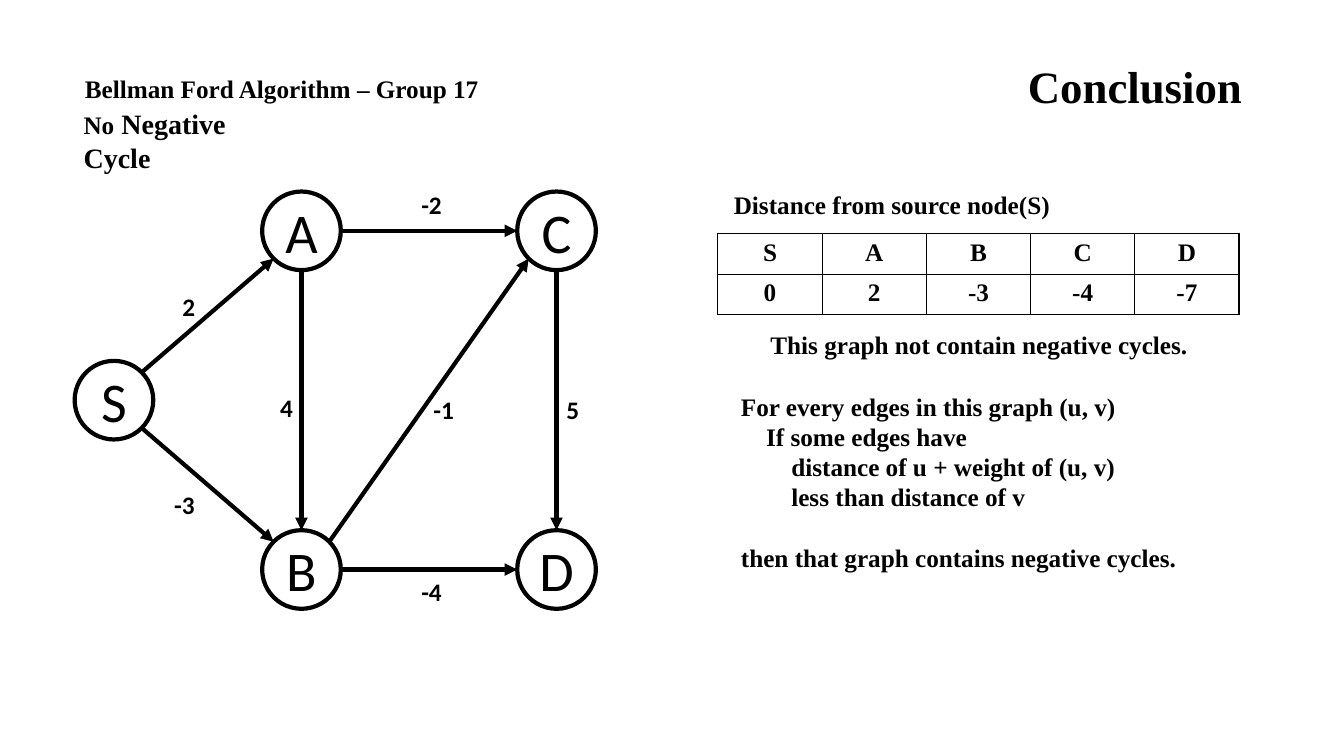
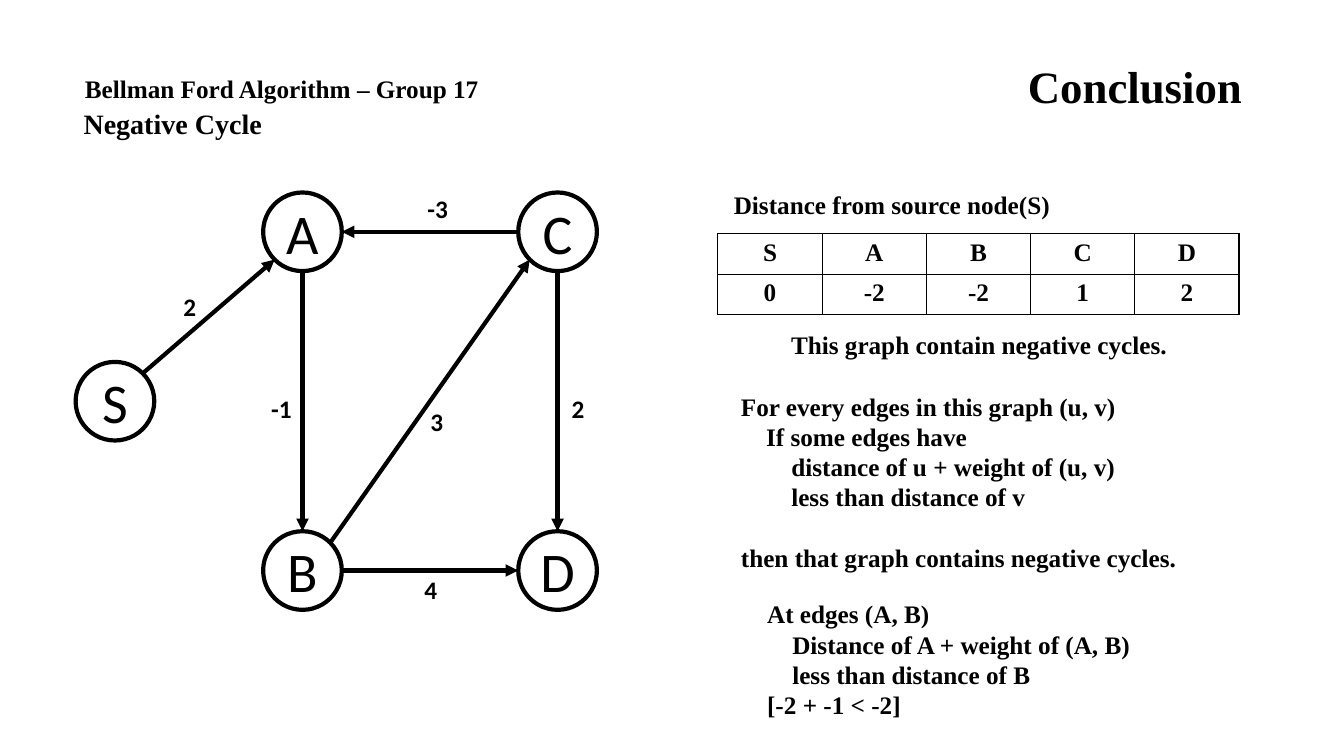
from math import sqrt

from lxml.etree import SubElement as Sub
from pptx import Presentation
from pptx.dml.color import RGBColor
from pptx.enum.shapes import MSO_CONNECTOR as Link, MSO_SHAPE as Form
from pptx.enum.text import MSO_ANCHOR as Anchor, MSO_AUTO_SIZE as Fit, PP_ALIGN as Align
from pptx.oxml.ns import qn
from pptx.util import Pt

BLACK = RGBColor(0, 0, 0)
WHITE = RGBColor(255, 255, 255)
SERIF, SANS = "Times New Roman", "Calibri"
PX = 9144
SIZE = 78
NODES = {"S": (113, 397), "A": (299, 229), "B": (299, 565), "C": (552, 229), "D": (552, 565)}
SITES = [(0, -1), (-1, -1), (-1, 0), (-1, 1), (0, 1), (1, 1), (1, 0), (1, -1)]
RULE = [
    ("For every edges in this graph (u, v)", 0, 0),
    ("If some edges have", 1, 0),
    ("distance of u + weight of (u, v)", 2, 0),
    ("less than distance of v", 2, 0),
    ("then that graph contains negative cycles.", 0, 22),
]
PROOF = [
    ("At edges (A, B)", 0, 0),
    ("Distance of A + weight of (A, B)", 1, 0),
    ("less than distance of B", 1, 0),
    ("[-2 + -1 < -2]", 0, 0),
]
PAGES = [
    dict(
        shift=0,
        name=[("No", 18), (" Negative Cycle", 20)],
        edges=[
            ("SA", "2", 171, 284, 35), ("SB", "-3", 163, 481, 43), ("AB", "4", 268, 384, 35),
            ("AC", "-2", 408, 183, 42), ("BC", "-1", 420, 386, 42), ("CD", "5", 552, 386, 42),
            ("BD", "-4", 408, 567, 42),
        ],
        costs=["0", "2", "-3", "-4", "-7"],
        claim="This graph not contain negative cycles.",
        proof=[],
    ),
    dict(
        shift=1,
        name=[("Negative Cycle", 20)],
        edges=[
            ("SA", "2", 172, 284, 35), ("AB", "-1", 259, 385, 42), ("CA", "-3", 414, 187, 45),
            ("BC", "3", 417, 398, 31), ("CD", "2", 557, 385, 31), ("BD", "4", 411, 565, 31),
        ],
        costs=["0", "-2", "-2", "1", "2"],
        claim="This graph contain negative cycles.",
        proof=PROOF,
    ),
]


def assign(item, **vals):
    for key, val in vals.items():
        setattr(item, key, val)


def sign(num):
    return (num > 0) - (num < 0)


class Deck:
    """Holds the shared style and the current slide, and draws each kind of element."""

    def __init__(self):
        self.file = Presentation()
        assign(self.file, slide_width=1333 * PX, slide_height=750 * PX)

    def page(self):
        self.shapes = self.file.slides.add_slide(self.file.slide_layouts[6]).shapes

    def fill(self, par, runs, align=Align.LEFT, lev=0, gap=0, font=SERIF, bold=True):
        assign(par, alignment=align, space_before=Pt(gap))
        par._p.get_or_add_pPr().set("marL", str(lev * 25 * PX))
        for text, size in runs:
            run = par.add_run()
            run.text = text
            assign(run.font, name=font, size=Pt(size), bold=bold)
            run.font.color.rgb = BLACK

    def box(self, x, y, w, h):
        frame = self.shapes.add_textbox(x * PX, y * PX, w * PX, h * PX).text_frame
        assign(frame, word_wrap=True, auto_size=Fit.SHAPE_TO_FIT_TEXT)
        return frame

    def text(self, x, y, w, h, runs, **style):
        self.fill(self.box(x, y, w, h).paragraphs[0], runs, **style)

    def steps(self, x, y, w, h, lines):
        frame = self.box(x, y, w, h)
        for num, (text, lev, gap) in enumerate(lines):
            par = frame.add_paragraph() if num else frame.paragraphs[0]
            self.fill(par, [(text, 18)], lev=lev, gap=gap)

    def stroke(self, line):
        line.color.rgb = BLACK
        line.width = Pt(3)

    def node(self, name, x, y):
        left, top = x - SIZE // 2, y - SIZE // 2
        disc = self.shapes.add_shape(Form.OVAL, left * PX, top * PX, SIZE * PX, SIZE * PX)
        disc.shadow.inherit = False
        disc.fill.background()
        self.stroke(disc.line)
        frame = disc.text_frame
        assign(frame, vertical_anchor=Anchor.MIDDLE, word_wrap=True,
               margin_left=0, margin_right=0, margin_top=0, margin_bottom=0)
        self.fill(frame.paragraphs[0], [(name, 40)], align=Align.CENTER, font=SANS, bold=False)
        return disc

    def port(self, disc, way):
        rad = disc.width / 2 / sqrt(abs(way[0]) + abs(way[1]))
        mid = disc.left + disc.width / 2, disc.top + disc.height / 2
        return [round(pos + step * rad) for pos, step in zip(mid, way)]

    def edge(self, tail, head):
        way = sign(head.left - tail.left), sign(head.top - tail.top)
        back = -way[0], -way[1]
        line = self.shapes.add_connector(
            Link.STRAIGHT, *self.port(tail, way), *self.port(head, back))
        self.stroke(line.line)
        Sub(line.line._get_or_add_ln(), qn("a:tailEnd"), type="triangle")
        Sub(line._element.spPr, qn("a:effectLst"))
        props = line._element.nvCxnSpPr.cNvCxnSpPr
        for tag, disc, side in (("a:stCxn", tail, way), ("a:endCxn", head, back)):
            Sub(props, qn(tag), id=str(disc.shape_id), idx=str(SITES.index(side)))

    def graph(self, shift, edges):
        discs = {name: self.node(name, x + shift, y + shift) for name, (x, y) in NODES.items()}
        for ends, *_ in edges:
            self.edge(*(discs[name] for name in ends))
        for _, cost, x, y, w in edges:
            self.text(x, y, w, 40, [(cost, 18)], font=SANS)

    def border(self, cell):
        props = cell._tc.get_or_add_tcPr()
        for num, tag in enumerate(("a:lnL", "a:lnR", "a:lnT", "a:lnB")):
            line = props.makeelement(qn(tag), w=str(Pt(1)))
            Sub(Sub(line, qn("a:solidFill")), qn("a:srgbClr"), val=str(BLACK))
            props.insert(num, line)

    def table(self, x, y, w, h, rows):
        grid = self.shapes.add_table(
            len(rows), len(rows[0]), x * PX, y * PX, w * PX, h * PX).table
        assign(grid, first_row=False, horz_banding=False)
        for r, row in enumerate(rows):
            for c, text in enumerate(row):
                cell = grid.cell(r, c)
                cell.fill.solid()
                cell.fill.fore_color.rgb = WHITE
                self.border(cell)
                self.fill(cell.text_frame.paragraphs[0], [(text, 18)], align=Align.CENTER)

    def titles(self, name):
        self.text(976, 53, 266, 64, [("Conclusion", 32)], align=Align.RIGHT)
        self.text(73, 68, 413, 40, [("Bellman Ford Algorithm – Group 17", 18)],
                  align=Align.CENTER)
        self.text(73, 101, 232, 44, name)


def main():
    deck = Deck()
    for page in PAGES:
        deck.page()
        deck.graph(page["shift"], page["edges"])
        deck.titles(page["name"])
        deck.table(712, 232, 517, 80, [list(NODES), page["costs"]])
        deck.text(718, 183, 444, 40, [("Distance from source node(S)", 18)])
        deck.text(749, 322, 444, 40, [(page["claim"], 18)], align=Align.CENTER)
        deck.steps(725, 383, 492, 192, RULE)
        if page["proof"]:
            deck.steps(751, 589, 492, 131, page["proof"])
    deck.file.save("out.pptx")


if __name__ == "__main__":
    main()
